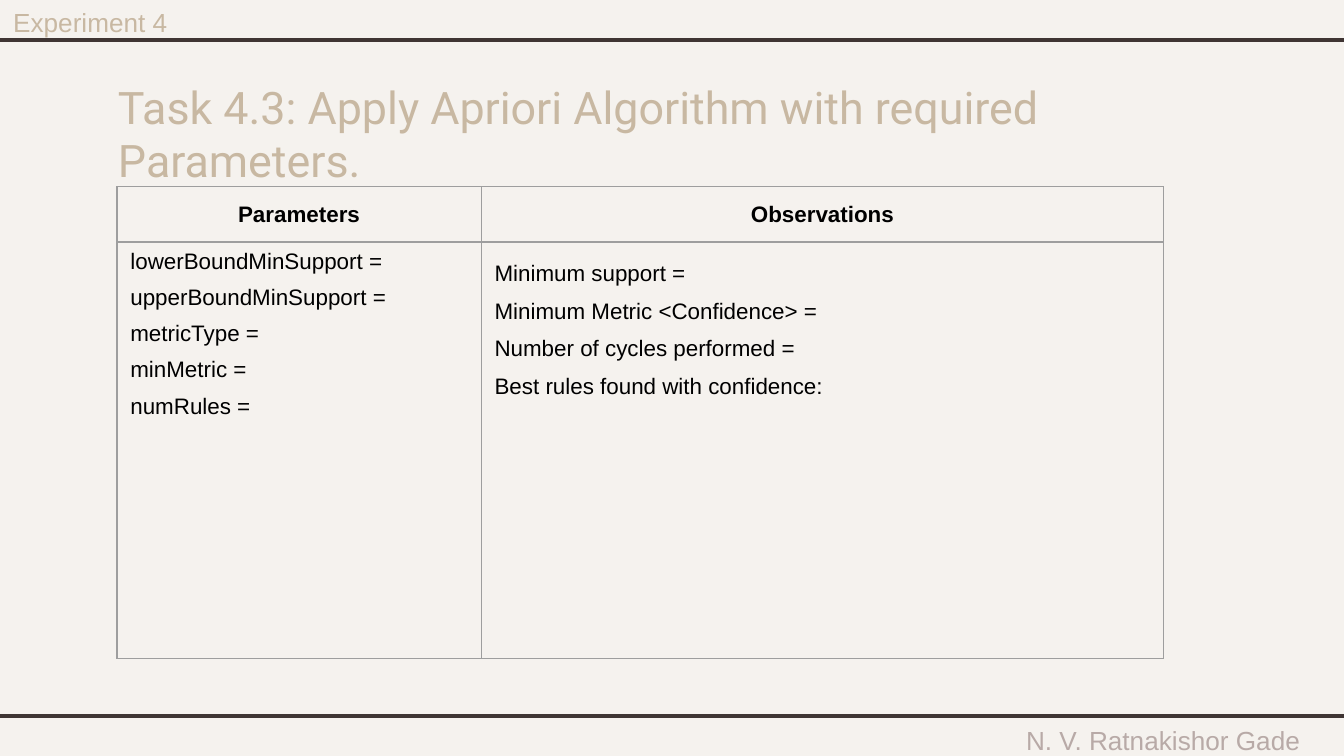
from dataclasses import dataclass

from lxml import etree
from pptx import Presentation
from pptx.dml.color import RGBColor
from pptx.enum.shapes import MSO_CONNECTOR
from pptx.enum.text import MSO_ANCHOR, PP_ALIGN
from pptx.oxml.ns import qn
from pptx.util import Inches, Pt

CENTER, LEFT, JUSTIFY = PP_ALIGN.CENTER, PP_ALIGN.LEFT, PP_ALIGN.JUSTIFY
TOP, MIDDLE = MSO_ANCHOR.TOP, MSO_ANCHOR.MIDDLE
STRAIGHT = MSO_CONNECTOR.STRAIGHT

CREAM = RGBColor(0xF5, 0xF2, 0xEE)
SAND = RGBColor(0xC8, 0xB8, 0xA2)
MAUVE = RGBColor(0xB8, 0xAA, 0xA7)
BROWN = RGBColor(0x3F, 0x35, 0x33)
GREY = RGBColor(0x9E, 0x9E, 0x9E)
BLACK = RGBColor(0, 0, 0)


@dataclass
class Label:
    text: str
    left: float
    top: float
    width: float
    height: float
    size: int
    color: RGBColor
    font: str = "Arial"
    align: PP_ALIGN = LEFT
    anchor: MSO_ANCHOR = TOP
    wrap: bool = True
    inset: float = 0.05


@dataclass
class Column:
    heading: str
    width: float
    lines: list[str]
    align: PP_ALIGN
    space_after: int
    line_spacing: float


LABELS = [
    Label("N. V. Ratnakishor Gade", 7.31, 5.41, 2.69, 0.19, 14, MAUVE,
          align=CENTER, anchor=MIDDLE),
    Label("Task 4.3: Apply Apriori Algorithm with required Parameters.",
          0.78, 0.49, 8.93, 0.63, 24, SAND, font="Roboto", inset=0.1),
    Label("Experiment 4", 0, 0, 1.36, 0.34, 14, SAND, wrap=False),
]
COLUMNS = [
    Column("Parameters", 2.71,
           ["lowerBoundMinSupport =", "upperBoundMinSupport =",
            "metricType =", "minMetric =", "numRules ="], JUSTIFY, 6, 1.0),
    Column("Observations", 5.08,
           ["Minimum support =", "Minimum Metric <Confidence> =",
            "Number of cycles performed =",
            "Best rules found with confidence:"], LEFT, 0, 1.5),
]
ROW_HEIGHTS = [0.41, 3.1]
RULE_TOPS = [0.3, 5.33]


def style_runs(p, font: str, size: int, color: RGBColor, bold: bool = False) -> None:
    for r in p.runs:
        r.font.name = font
        r.font.size = Pt(size)
        r.font.color.rgb = color
        r.font.bold = bold


def add_label(slide, label: Label) -> None:
    sp = slide.shapes.add_textbox(Inches(label.left), Inches(label.top),
                                  Inches(label.width), Inches(label.height))
    tf = sp.text_frame
    tf.word_wrap = label.wrap
    tf.vertical_anchor = label.anchor
    tf.margin_top = tf.margin_bottom = Inches(label.inset)
    tf.text = label.text
    p = tf.paragraphs[0]
    p.alignment = label.align
    style_runs(p, label.font, label.size, label.color)


def add_rule(slide, top: float) -> None:
    line = slide.shapes.add_connector(STRAIGHT, Inches(-0.08), Inches(top),
                                      Inches(10.08), Inches(top))
    line.line.color.rgb = BROWN
    line.line.width = Pt(2.25)
    etree.SubElement(line._element.spPr, qn("a:effectLst"))


def add_borders(cell) -> None:
    """Outline a cell; border elements must come before its fill."""
    tc_pr = cell._tc.get_or_add_tcPr()
    for i, side in enumerate(("lnL", "lnR", "lnT", "lnB")):
        ln = etree.Element(qn(f"a:{side}"), w=str(Pt(0.75)))
        fill = etree.SubElement(ln, qn("a:solidFill"))
        etree.SubElement(fill, qn("a:srgbClr"), val=str(GREY))
        tc_pr.insert(i, ln)


def fill_cell(cell, lines: list[str], align: PP_ALIGN, bold: bool = False,
              space_after: int = 0, line_spacing: float = 1.0) -> None:
    cell.fill.background()
    add_borders(cell)
    cell.text_frame.text = "\n".join(lines)
    for p in cell.text_frame.paragraphs:
        p.alignment = align
        p.space_after = Pt(space_after)
        p.line_spacing = line_spacing
        style_runs(p, "Arial", 12, BLACK, bold)


def add_results_table(slide) -> None:
    table = slide.shapes.add_table(
        len(ROW_HEIGHTS), len(COLUMNS), Inches(0.87), Inches(1.39),
        Inches(sum(c.width for c in COLUMNS)), Inches(sum(ROW_HEIGHTS))).table
    table.first_row = table.horz_banding = False
    for row, height in zip(table.rows, ROW_HEIGHTS):
        row.height = Inches(height)
    for i, column in enumerate(COLUMNS):
        table.columns[i].width = Inches(column.width)
        heading, body = table.cell(0, i), table.cell(1, i)
        heading.vertical_anchor = MIDDLE
        fill_cell(heading, [column.heading], CENTER, bold=True)
        fill_cell(body, column.lines, column.align,
                  space_after=column.space_after,
                  line_spacing=column.line_spacing)


def main() -> None:
    prs = Presentation()
    prs.slide_width = Inches(10)
    prs.slide_height = Inches(10 * 9 / 16)
    slide = prs.slides.add_slide(prs.slide_layouts[6])
    slide.background.fill.solid()
    slide.background.fill.fore_color.rgb = CREAM
    for top in RULE_TOPS:
        add_rule(slide, top)
    for label in LABELS:
        add_label(slide, label)
    add_results_table(slide)
    prs.save("out.pptx")


if __name__ == "__main__":
    main()
